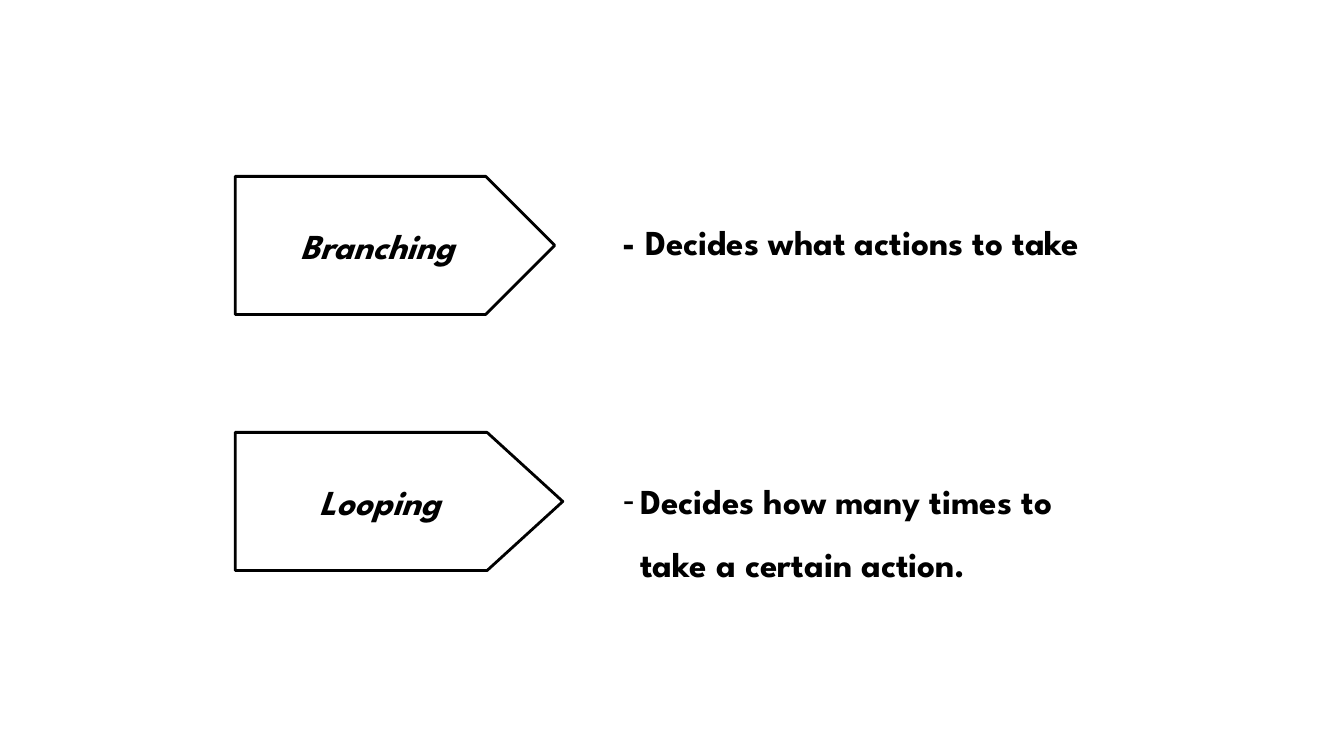
from dataclasses import dataclass

from lxml.etree import SubElement
from pptx import Presentation
from pptx.dml.color import RGBColor
from pptx.enum.shapes import MSO_SHAPE
from pptx.enum.text import MSO_ANCHOR, MSO_AUTO_SIZE, PP_ALIGN
from pptx.oxml.ns import qn
from pptx.util import Pt

COLORS = {"ink": "000000", "paper": "FFFFFF"}
FONT = "League Spartan"
LABEL_LEFT, LABEL_HEIGHT = 168, 98.64
NOTE_LEFT = 437.76


@dataclass
class Concept:
    """A labelled pentagon and the box that explains it."""
    name: str
    label_top: float
    label_width: float
    point: float
    lines: list[str]
    note_top: float
    note_width: float
    note_height: float
    spacing: float = 1.0
    hang: float = 0


CONCEPTS = [
    Concept("Branching", 126, 228.24, 0.5, ["- Decides what actions to take"],
            154.08, 383.76, 37.44),
    Concept("Looping", 308.88, 234, 0.548,
            ["Decides how many times to", "take a certain action."],
            324, 471.6, 94.32, spacing=1.5, hang=12.5),
]


def rgb(name: str) -> RGBColor:
    """Return a palette colour."""
    return RGBColor.from_string(COLORS[name])


def write(p, text: str, *, size: float = 25, bold: bool = True, italic: bool = False,
          align: PP_ALIGN = PP_ALIGN.LEFT, spacing: float = 1.0) -> None:
    """Put formatted text into a paragraph."""
    p.alignment, p.line_spacing = align, spacing
    r = p.add_run()
    r.text = text
    f = r.font
    f.name, f.size, f.bold, f.italic = FONT, Pt(size), bold, italic
    f.color.rgb = rgb("ink")


def hang_text(p, hang: float, dash: bool) -> None:
    """Indent a paragraph, with a hanging dash if asked."""
    pPr = p._p.get_or_add_pPr()
    pPr.set("marL", str(Pt(hang)))
    pPr.set("indent", str(Pt(-hang if dash else 0)))
    if dash:
        SubElement(pPr, qn("a:buFont"), typeface="Arial")
        SubElement(pPr, qn("a:buChar"), char="-")


def add_label(slide, c: Concept) -> None:
    """Draw the pentagon with the name of a concept."""
    sp = slide.shapes.add_shape(MSO_SHAPE.PENTAGON, Pt(LABEL_LEFT), Pt(c.label_top),
                                Pt(c.label_width), Pt(LABEL_HEIGHT))
    sp.adjustments[0] = c.point
    sp.shadow.inherit = False
    sp.fill.solid()
    sp.fill.fore_color.rgb = rgb("paper")
    sp.line.color.rgb = rgb("ink")
    sp.line.width = Pt(2)
    tf = sp.text_frame
    tf.vertical_anchor = MSO_ANCHOR.MIDDLE
    write(tf.paragraphs[0], c.name, italic=True, align=PP_ALIGN.CENTER)


def add_note(slide, c: Concept) -> None:
    """Write the explanation of a concept."""
    sp = slide.shapes.add_textbox(Pt(NOTE_LEFT), Pt(c.note_top),
                                  Pt(c.note_width), Pt(c.note_height))
    tf = sp.text_frame
    tf.word_wrap = True
    tf.auto_size = MSO_AUTO_SIZE.SHAPE_TO_FIT_TEXT
    for i, line in enumerate(c.lines):
        p = tf.add_paragraph() if i else tf.paragraphs[0]
        write(p, line, spacing=c.spacing)
        if c.hang:
            hang_text(p, c.hang, dash=i == 0)


def main() -> None:
    """Build and save the slide."""
    prs = Presentation()
    prs.slide_width, prs.slide_height = Pt(960), Pt(540)
    slide = prs.slides.add_slide(prs.slide_layouts[6])
    for c in CONCEPTS:
        add_label(slide, c)
        add_note(slide, c)
    prs.save("out.pptx")


if __name__ == "__main__":
    main()
